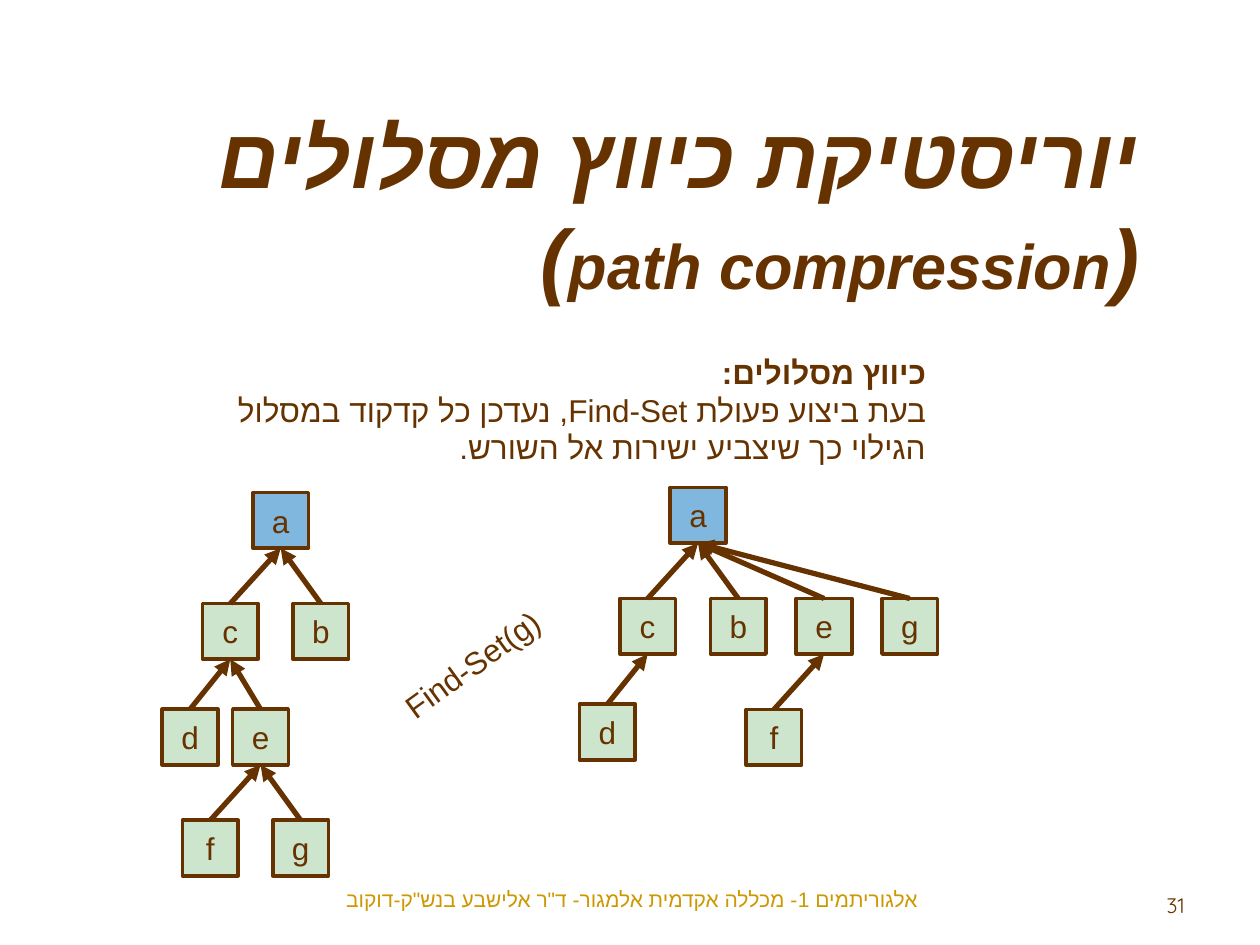
from lxml import etree
from pptx import Presentation
from pptx.dml.color import RGBColor
from pptx.enum.shapes import MSO_CONNECTOR as CXN, MSO_SHAPE as SHP
from pptx.enum.text import MSO_ANCHOR as ANC, PP_ALIGN as AL
from pptx.oxml.ns import qn
from pptx.util import Pt

BROWN, GOLD, BLUE, GREEN = "663300", "CC9900", "0070C0", "008000"
NODE = 31.8
LEVELS = [0, 63.4, 123.8, 187.2]

# Trees: root corner, then name -> (parent, x offset from root, level)
BEFORE = (144.5, 281.5), {
    "a": (None, 0, 0), "b": ("a", 23, 1), "c": ("a", -28.8, 1),
    "d": ("c", -51.8, 2), "e": ("c", -11.5, 2),
    "g": ("e", 11.4, 3), "f": ("e", -40.2, 3)}
AFTER = (383, 278.6), {
    "a": (None, 0, 0), "b": ("a", 23, 1), "c": ("a", -28.8, 1),
    "d": ("c", -51.8, 2), "e": ("a", 72, 1), "g": ("a", 121, 1),
    "f": ("e", 43.4, 2.05)}


def rgb(value):
    return RGBColor.from_string(value)


def add_run(p, text, color=BROWN, **font):
    r = p.add_run()
    r.text = text
    r.font.color.rgb = rgb(color)
    values = {"name": "Arial", "size": 18, **font}
    values["size"] = Pt(values["size"])
    for key, value in values.items():
        setattr(r.font, key, value)
    cs = etree.SubElement(r.font._element, qn("a:cs"))
    cs.set("typeface", values["name"])


def add_text(slide, box, paragraphs, align=AL.RIGHT, rtl=True, wrap=True):
    """Each paragraph is a list of (text, format values) runs."""
    s = slide.shapes.add_textbox(*map(Pt, box))
    tf = s.text_frame
    tf.word_wrap = wrap
    for i, runs in enumerate(paragraphs):
        p = tf.add_paragraph() if i else tf.paragraphs[0]
        p.alignment = align
        if rtl:
            p._p.get_or_add_pPr().set("rtl", "1")
        for text, font in runs:
            add_run(p, text, **font)
    return s


def add_node(group, name, x, y, fill, alpha):
    s = group.shapes.add_shape(SHP.RECTANGLE, Pt(x), Pt(y), Pt(NODE), Pt(NODE))
    s.shadow.inherit = False
    s.fill.solid()
    s.fill.fore_color.rgb = rgb(fill)
    color = s._element.spPr.find(qn("a:solidFill"))[0]
    etree.SubElement(color, qn("a:alpha")).set("val", str(alpha * 1000))
    s.line.color.rgb = rgb(BROWN)
    s.line.width = Pt(2)
    tf = s.text_frame
    tf.vertical_anchor = ANC.MIDDLE
    p = tf.paragraphs[0]
    p.alignment = AL.CENTER
    add_run(p, name)
    return s


def add_arrow(group, child, parent):
    s = group.shapes.add_connector(
        CXN.STRAIGHT, child.left + child.width // 2, child.top,
        parent.left + parent.width // 2, parent.top + parent.height)
    s.begin_connect(child, 0)
    s.end_connect(parent, 2)
    s.line.color.rgb = rgb(BROWN)
    s.line.width = Pt(3)
    etree.SubElement(s.line._get_or_add_ln(), qn("a:tailEnd")).set("type", "triangle")
    etree.SubElement(s._element.spPr, qn("a:effectLst"))


def add_tree(slide, root, nodes):
    group = slide.shapes.add_group_shape()
    x, y = root
    boxes = {}
    for name, (parent, dx, level) in nodes.items():
        # A fractional level drops a node slightly below its row
        row = int(level)
        dy = LEVELS[row] + (level - row) * 60
        fill, alpha = (GREEN, 20) if parent else (BLUE, 50)
        boxes[name] = add_node(group, name, x + dx, y + dy, fill, alpha)
    for name, (parent, _, _) in nodes.items():
        if parent:
            add_arrow(group, boxes[name], boxes[parent])


def main():
    prs = Presentation()
    prs.slide_width, prs.slide_height = Pt(720), Pt(540)
    slide = prs.slides.add_slide(prs.slide_layouts[6])

    # Title
    title = {"size": 48, "bold": True, "italic": True}
    add_text(slide, (78.5, 56.2, 579.6, 123.8), [
        [("יוריסטיקת כיווץ מסלולים", title)],
        [("(", title), ("path compression", {**title, "size": 36}), (")", title)]])

    # Footer and slide number
    add_text(slide, (516.2, 506.2, 167.8, 25.2),
             [[("31", {"size": 12, "name": "Quicksand"})]], rtl=False)
    add_text(slide, (162.7, 503.3, 396.7, 22.3),
             [[('אלגוריתמים 1- מכללה אקדמית אלמגור- ד"ר אלישבע בנש"ק-דוקוב',
                {"size": 12, "color": GOLD})]], AL.CENTER)

    # Explanation
    add_text(slide, (87.1, 198, 449.3, 72.7), [
        [("כיווץ מסלולים:", {"bold": True})],
        [("בעת ביצוע פעולת Find-Set, נעדכן כל קדקוד במסלול הגילוי "
          "כך שיצביע ישירות אל השורש.", {"bold": False})]])

    # Trees before and after the call
    add_tree(slide, *BEFORE)
    call = add_text(slide, (217.4, 364.3, 106.6, 28.8),
                    [[("Find-Set(g)", {})]], AL.LEFT, rtl=False, wrap=False)
    call.rotation = 324.1
    add_tree(slide, *AFTER)

    prs.save("out.pptx")


main()
